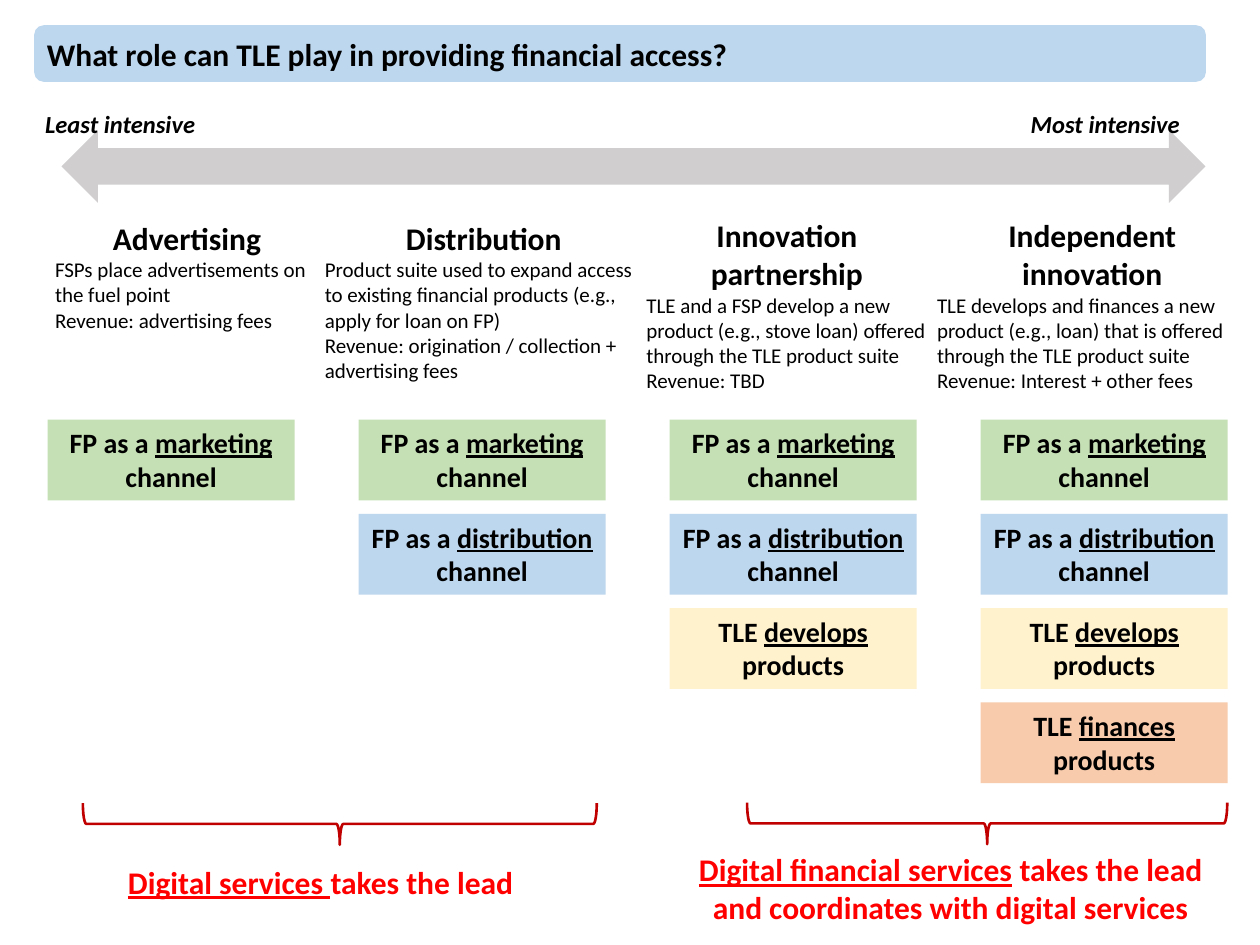
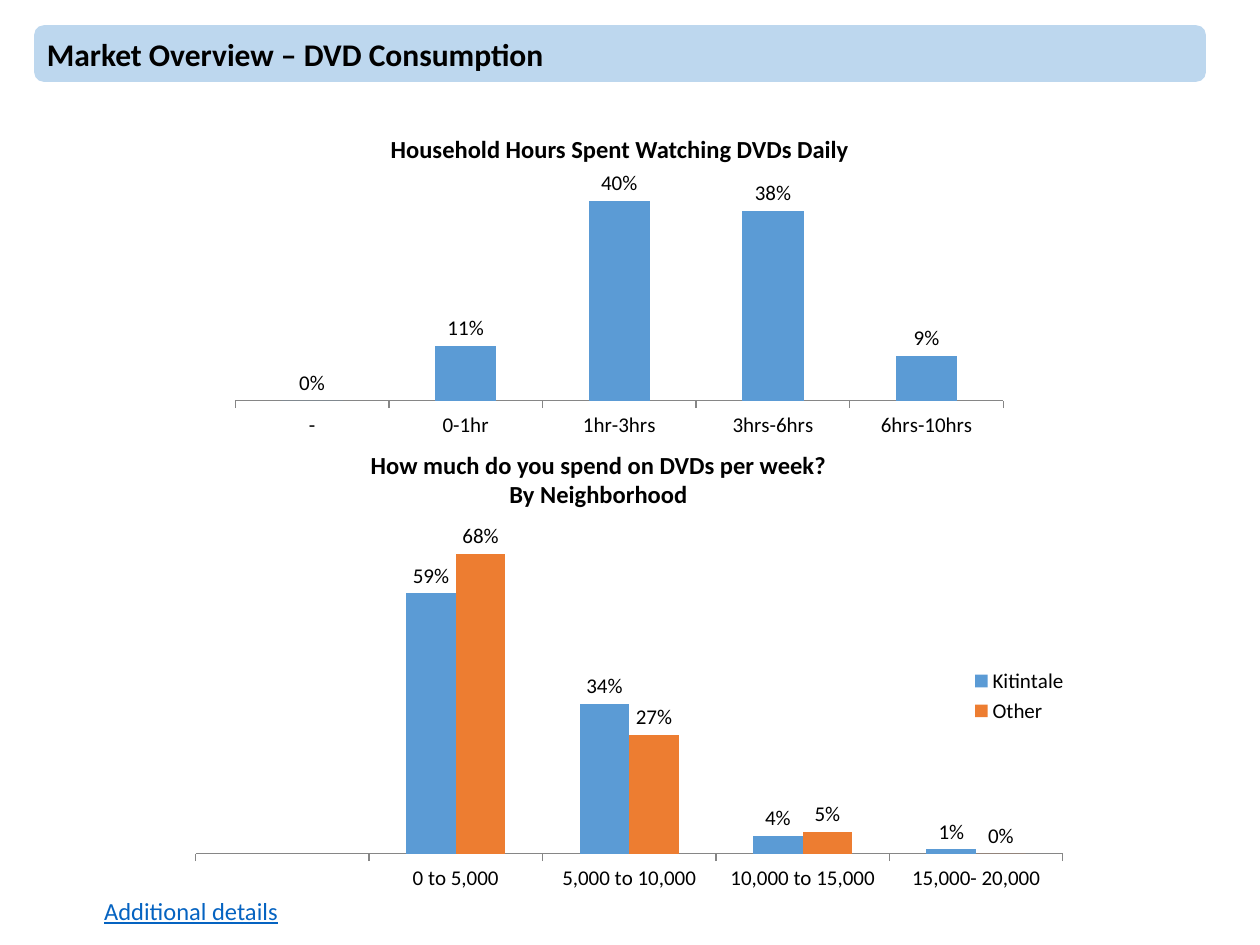
import dataclasses
import typing

import pptx
import pptx.chart.data
import pptx.dml.color
import pptx.enum.chart
import pptx.enum.shapes
import pptx.enum.text
import pptx.util

Cm = pptx.util.Cm
Pt = pptx.util.Pt
Align = pptx.enum.text.PP_ALIGN
Preset = pptx.enum.shapes.MSO_SHAPE

FONT = "Calibri"
COLORS = {
    "ink": "000000", "band": "BDD7EE", "arrow": "D0CECE", "brace": "C00000",
    "lead": "FF0000", "link": "0563C1", "marketing": "C5E0B4",
    "distribution": "BDD7EE", "develops": "FFF2CC", "finances": "F8CBAD",
    "blue": "5B9BD5", "orange": "ED7D31", "axis": "868686",
}


# ---- Content records ----
@dataclasses.dataclass(frozen=True)
class Place:
    """Left, top, width and height in centimetres."""
    left: float
    top: float
    width: float
    height: float

    def lengths(self) -> tuple:
        return tuple(Cm(n) for n in (self.left, self.top, self.width, self.height))


@dataclasses.dataclass(frozen=True)
class Run:
    text: str
    size: int
    bold: bool = True
    italic: bool = False
    underline: bool = False
    color: str = "ink"


@dataclasses.dataclass(frozen=True)
class Line:
    runs: tuple
    align: typing.Any = Align.CENTER


@dataclasses.dataclass(frozen=True)
class Role:
    heading: str
    details: tuple
    place: Place


@dataclasses.dataclass(frozen=True)
class Activity:
    before: str
    stressed: str
    after: str
    color: str


@dataclasses.dataclass(frozen=True)
class Survey:
    place: Place
    answers: tuple
    shares: dict
    top_share: float
    legend: bool = False


BAND = Place(0.69, 0.51, 23.62, 1.14)

ROLES = (
    Role("Advertising",
         ("FSPs place advertisements on the fuel point",
          "Revenue: advertising fees"),
         Place(0.86, 4.29, 5.82, 2.57)),
    Role("Distribution",
         ("Product suite used to expand access to existing financial products "
          "(e.g., apply for loan on FP)",
          "Revenue: origination / collection + advertising fees"),
         Place(6.3, 4.29, 6.91, 3.58)),
    Role("Innovation partnership",
         ("TLE and a FSP develop a new product (e.g., stove loan) offered "
          "through the TLE product suite",
          "Revenue: TBD"),
         Place(12.78, 4.24, 6.17, 3.84)),
    Role("Independent innovation",
         ("TLE develops and finances a new product (e.g., loan) that is "
          "offered through the TLE product suite",
          "Revenue: Interest + other fees"),
         Place(18.64, 4.24, 6.76, 3.84)),
)

# Each role adds one activity to those of the role before it
ACTIVITIES = (
    Activity("FP as a ", "marketing", " channel", "marketing"),
    Activity("FP as a ", "distribution ", "channel", "distribution"),
    Activity("TLE ", "develops", " products", "develops"),
    Activity("TLE ", "finances ", "products", "finances"),
)

LEADS = (
    (Place(6.43, 11.43, 0.84, 10.36), Place(2.21, 17.27, 8.51, 1.02),
     "Digital services ", "takes the lead"),
    (Place(19.48, 11.76, 0.84, 9.68), Place(13.49, 17.02, 11.35, 1.8),
     "Digital financial services",
     " takes the lead and coordinates with digital services"),
)

HOURS = Survey(
    Place(4.42, 3.43, 16.13, 5.51),
    ("-", "0-1hr", "1hr-3hrs", "3hrs-6hrs", "6hrs-10hrs"),
    {"Series 1": (0, 0.11, 0.4, 0.38, 0.09)}, 0.45)
SPENDING = Survey(
    Place(3.58, 9.93, 18.21, 8.2),
    ("", "0 to 5,000", "5,000 to 10,000", "10,000 to 15,000", "15,000- 20,000"),
    {"Kitintale": (None, 0.59, 0.34, 0.04, 0.01),
     "Other": (None, 0.68, 0.27, 0.05, 0)}, 0.8, legend=True)


# ---- Drawing functions ----
def rgb(name: str) -> pptx.dml.color.RGBColor:
    return pptx.dml.color.RGBColor.from_string(COLORS[name])


def write(frame: typing.Any, lines: typing.Sequence[Line],
          anchor: typing.Any = pptx.enum.text.MSO_ANCHOR.TOP) -> None:
    frame.word_wrap = True
    frame.auto_size = pptx.enum.text.MSO_AUTO_SIZE.NONE
    frame.vertical_anchor = anchor
    for index, line in enumerate(lines):
        paragraph = frame.add_paragraph() if index else frame.paragraphs[0]
        paragraph.alignment = line.align
        for part in line.runs:
            run = paragraph.add_run()
            run.text = part.text
            font = run.font
            font.name, font.size = FONT, Pt(part.size)
            font.bold, font.italic = part.bold, part.italic
            font.underline = part.underline
            font.color.rgb = rgb(part.color)


def add_text(slide: typing.Any, place: Place, *lines: Line) -> None:
    write(slide.shapes.add_textbox(*place.lengths()).text_frame, lines)


def add_block(slide: typing.Any, preset: typing.Any, place: Place,
              fill: str = "", line: str = "") -> typing.Any:
    block = slide.shapes.add_shape(preset, *place.lengths())
    block.shadow.inherit = False
    if fill:
        block.fill.solid()
        block.fill.fore_color.rgb = rgb(fill)
    else:
        block.fill.background()
    if line:
        block.line.color.rgb = rgb(line)
        block.line.width = Pt(1.5)
    else:
        block.line.fill.background()
    return block


def add_titled_slide(deck: typing.Any, heading: str) -> typing.Any:
    slide = deck.slides.add_slide(deck.slide_layouts.get_by_name("Title Only"))
    title = slide.shapes.title
    title.left, title.top, title.width, title.height = BAND.lengths()
    write(title.text_frame, [Line((Run(heading, 18),), Align.LEFT)],
          pptx.enum.text.MSO_ANCHOR.MIDDLE)
    # The band goes behind the title
    band = add_block(slide, Preset.ROUNDED_RECTANGLE, BAND, "band")
    title.element.addprevious(band.element)
    return slide


def add_survey(slide: typing.Any, survey: Survey) -> None:
    data = pptx.chart.data.CategoryChartData(number_format="0%")
    data.categories = survey.answers
    for name, shares in survey.shares.items():
        data.add_series(name, shares)
    chart = slide.shapes.add_chart(
        pptx.enum.chart.XL_CHART_TYPE.COLUMN_CLUSTERED,
        *survey.place.lengths(), data).chart
    chart.has_title = False
    chart.font.name, chart.font.size = FONT, Pt(12)
    chart.font.color.rgb = rgb("ink")
    chart.has_legend = survey.legend
    if survey.legend:
        chart.legend.position = pptx.enum.chart.XL_LEGEND_POSITION.RIGHT
        chart.legend.include_in_layout = True

    # Axes
    chart.category_axis.format.line.color.rgb = rgb("axis")
    chart.category_axis.major_tick_mark = pptx.enum.chart.XL_TICK_MARK.OUTSIDE
    chart.value_axis.visible = False
    chart.value_axis.has_major_gridlines = False
    chart.value_axis.minimum_scale = 0
    chart.value_axis.maximum_scale = survey.top_share

    # Columns and their labels
    plot = chart.plots[0]
    plot.gap_width, plot.overlap = 150, 0
    plot.vary_by_categories = False
    for series, color in zip(plot.series, ("blue", "orange")):
        series.invert_if_negative = False
        series.format.fill.solid()
        series.format.fill.fore_color.rgb = rgb(color)
        labels = series.data_labels
        labels.show_value = True
        labels.number_format = "0%"
        labels.number_format_is_linked = False
        labels.position = pptx.enum.chart.XL_LABEL_POSITION.OUTSIDE_END


# ---- Slides ----
def build_roles(deck: typing.Any) -> None:
    slide = add_titled_slide(
        deck, "What role can TLE play in providing financial access?")

    # Intensity scale
    add_block(slide, Preset.LEFT_RIGHT_ARROW, Place(1.24, 2.62, 23.06, 1.47), "arrow")
    for left, label in ((0.51, "Least intensive "), (20.37, "Most intensive ")):
        add_text(slide, Place(left, 2.08, 3.94, 0.86),
                 Line((Run(label, 14, italic=True),)))

    # Roles, each above its stack of activities
    for column, role in enumerate(ROLES):
        details = (Line((Run(text, 12, bold=False),), Align.LEFT)
                   for text in role.details)
        add_text(slide, role.place, Line((Run(role.heading, 18),)), *details)
        for row, activity in enumerate(ACTIVITIES[:column + 1]):
            place = Place(0.96 + 6.27 * column, 8.46 + 1.9 * row, 4.98, 1.63)
            block = add_block(slide, Preset.RECTANGLE, place, activity.color)
            write(block.text_frame, [Line((
                Run(activity.before, 16),
                Run(activity.stressed, 16, underline=True),
                Run(activity.after, 16)))])

    # Who takes the lead
    for brace_place, caption_place, leader, rest in LEADS:
        brace = add_block(slide, Preset.RIGHT_BRACE, brace_place, line="brace")
        brace.rotation = 90
        add_text(slide, caption_place, Line((
            Run(leader, 18, underline=True, color="lead"),
            Run(rest, 18, color="lead"))))


def build_market(deck: typing.Any) -> None:
    slide = add_titled_slide(deck, "Market Overview – DVD Consumption")
    add_survey(slide, HOURS)
    add_text(slide, Place(7.49, 2.57, 10.01, 0.86),
             Line((Run("Household Hours Spent Watching DVDs Daily", 14),)))
    add_text(slide, Place(7.06, 8.94, 10.01, 1.45),
             Line((Run("How much do you spend on DVDs per week?", 14),)),
             Line((Run("By Neighborhood", 14),)))
    add_survey(slide, SPENDING)
    add_text(slide, Place(1.85, 17.93, 9.53, 0.86),
             Line((Run("Additional details", 14, bold=False, underline=True,
                       color="link"),), Align.LEFT))


def main() -> None:
    deck = pptx.Presentation()
    deck.slide_width, deck.slide_height = Cm(25.4), Cm(19.05)
    build_roles(deck)
    build_market(deck)
    deck.save("out.pptx")


if __name__ == "__main__":
    main()
